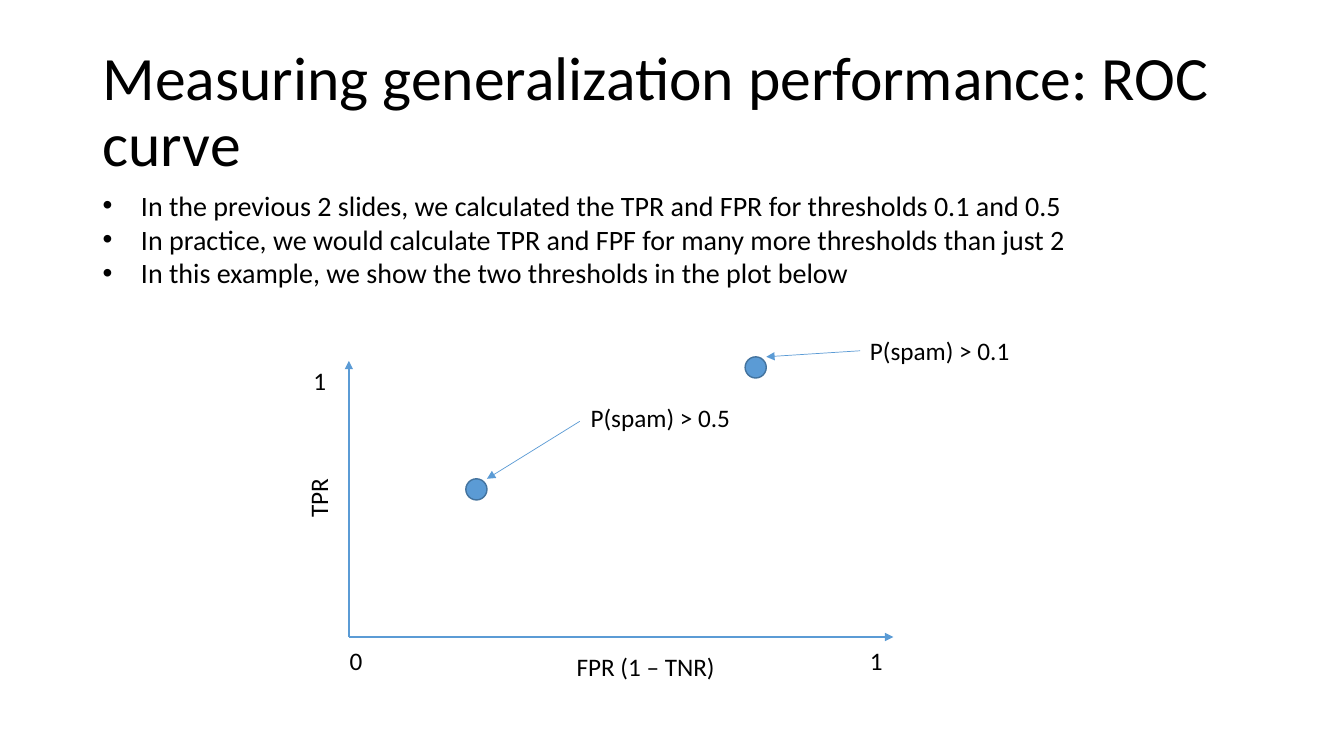
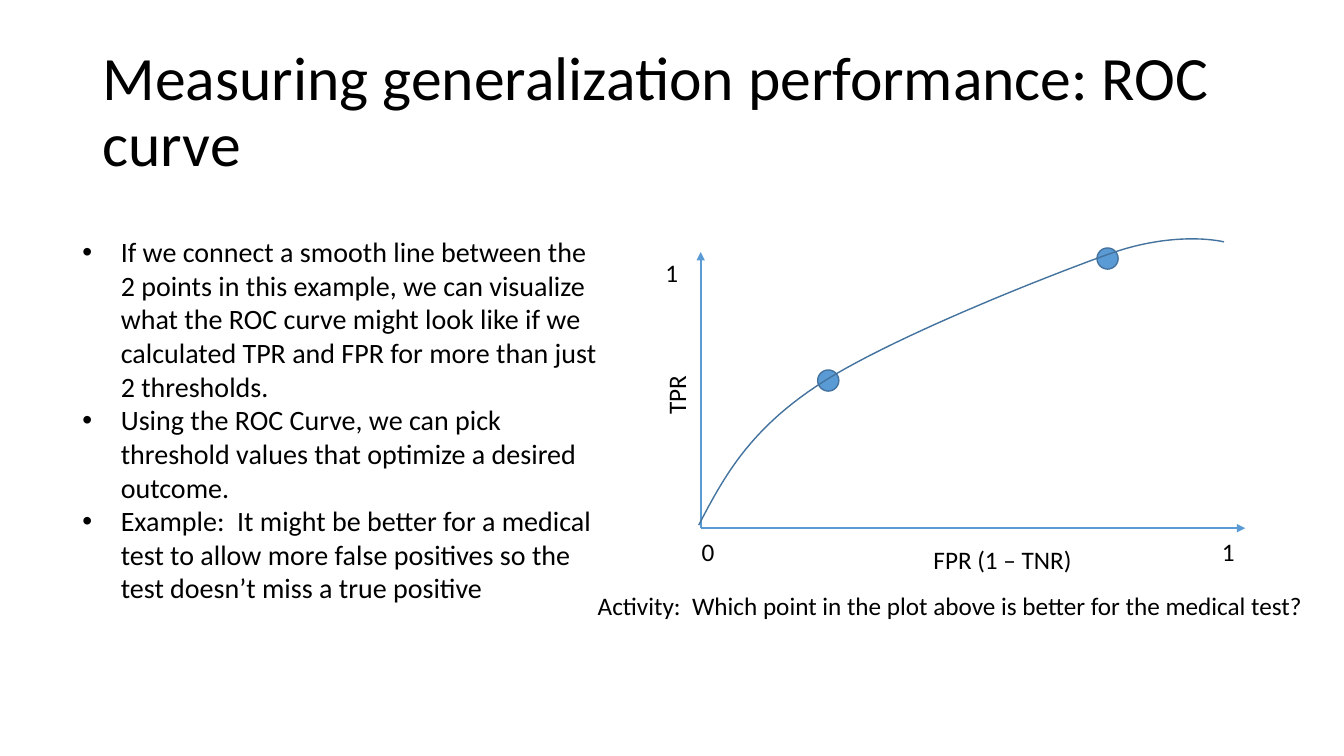
from lxml import etree
from pptx import Presentation
from pptx.dml.color import RGBColor
from pptx.enum import shapes, text
from pptx.oxml import ns
from pptx.util import Inches, Pt

BLUE, DARK_BLUE, BLACK = "5B9BD5", "43739E", "000000"
FONT = "Calibri"
TITLE = "Measuring generalization performance: ROC curve"
DOT = 0.21
AXIS_WIDTH, AXIS_HEIGHT = 5.4, 2.74
DOT_OFFSETS = [(1.16, -1.57), (3.93, -2.78)]
TICKS = [("0", -0.09, 0.03, 0.33), ("1", 5.07, 0.03, 0.65), ("1", -0.45, -2.74, 0.33)]


def add_text(slide, paragraphs, left, top, width, height=0.4, size=18, wrap=False,
             bullets=False, spacing=None, anchor=text.MSO_ANCHOR.TOP, grow=True, rotation=0):
    box = slide.shapes.add_textbox(Inches(left), Inches(top), Inches(width), Inches(height))
    box.rotation = rotation
    frame = box.text_frame
    frame.word_wrap = wrap
    frame.vertical_anchor = anchor
    frame.auto_size = text.MSO_AUTO_SIZE.SHAPE_TO_FIT_TEXT if grow else text.MSO_AUTO_SIZE.NONE
    frame.text = "\n".join(paragraphs)
    for paragraph in frame.paragraphs:
        paragraph.line_spacing = spacing
        font = paragraph.runs[0].font
        font.name, font.size = FONT, Pt(size)
        font.color.rgb = RGBColor.from_string(BLACK)
        if bullets:
            props = paragraph._p.get_or_add_pPr()
            props.set("marL", str(Inches(0.38)))
            props.set("indent", str(Inches(-0.38)))
            etree.SubElement(props, ns.qn("a:buFont")).set("typeface", "Arial")
            etree.SubElement(props, ns.qn("a:buChar")).set("char", "•")


def add_arrow(slide, start, end, width):
    arrow = slide.shapes.add_connector(shapes.MSO_CONNECTOR.STRAIGHT,
                                       *(Inches(value) for value in (*start, *end)))
    arrow.line.color.rgb = RGBColor.from_string(BLUE)
    arrow.line.width = Pt(width)
    etree.SubElement(arrow.line._get_or_add_ln(), ns.qn("a:tailEnd")).set("type", "triangle")
    etree.SubElement(arrow._element.spPr, ns.qn("a:effectLst"))


prs = Presentation()
prs.slide_width, prs.slide_height = Inches(13.33), Inches(7.5)

# Bullets with their box, plot origin, and places of the axis names
pages = [
    (["In the previous 2 slides, we calculated the TPR and FPR for thresholds 0.1 and 0.5",
      "In practice, we would calculate TPR and FPF for many more thresholds than just 2",
      "In this example, we show the two thresholds in the plot below"],
     (0.92, 1.82, 9.79, 1.11), False, (3.46, 6.32), (5.62, 6.41), (2.86, 4.74)),
    (["If we connect a smooth line between the 2 points in this example, we can visualize "
      "what the ROC curve might look like if we calculated TPR and FPR for more than just "
      "2 thresholds.",
      "Using the ROC Curve, we can pick threshold values that optimize a desired outcome.",
      "Example:  It might be better for a medical test to allow more false positives so the "
      "test doesn’t miss a true positive"],
     (0.72, 2.28, 5.3, 3.8), True, (6.95, 5.24), (9.16, 5.35), (6.41, 3.72)),
]

slides = []
for points, points_box, points_wrap, (x0, y0), fpr_at, tpr_at in pages:
    slide = prs.slides.add_slide(prs.slide_layouts[6])
    slides.append(slide)
    add_text(slide, [TITLE], 0.92, 0.4, 11.5, 1.45, size=44, wrap=True, spacing=0.9,
             anchor=text.MSO_ANCHOR.MIDDLE, grow=False)
    add_text(slide, points, *points_box, size=20, wrap=points_wrap, bullets=True)

    add_arrow(slide, (x0, y0), (x0 + AXIS_WIDTH, y0), 1.5)
    add_arrow(slide, (x0, y0), (x0, y0 - AXIS_HEIGHT), 1.5)
    add_text(slide, ["FPR (1 – TNR)"], *fpr_at, 1.59)
    add_text(slide, ["TPR"], *tpr_at, 0.59, rotation=270)
    for tick, dx, dy, width in TICKS:
        add_text(slide, [tick], x0 + dx, y0 + dy, width, wrap=width > 0.5)
    for dx, dy in DOT_OFFSETS:
        dot = slide.shapes.add_shape(shapes.MSO_SHAPE.OVAL, Inches(x0 + dx), Inches(y0 + dy),
                                     Inches(DOT), Inches(DOT))
        dot.shadow.inherit = False
        dot.fill.solid()
        dot.fill.fore_color.rgb = RGBColor.from_string(BLUE)
        dot.line.color.rgb = RGBColor.from_string(DARK_BLUE)
        dot.line.width = Pt(1)

threshold_slide, curve_slide = slides

# Threshold labels pointing at the dots
for threshold, label_at, start, end in [
    ("P(spam) > 0.5", (5.76, 3.94), (5.75, 4.18), (4.83, 4.75)),
    ("P(spam) > 0.1", (8.53, 3.28), (8.53, 3.48), (7.6, 3.54)),
]:
    add_arrow(threshold_slide, start, end, 0.5)
    add_text(threshold_slide, [threshold], *label_at, 1.6)

# ROC curve, sampled from three cubic Bézier segments
STEPS = 24
knots = [(6.93, 5.21), (7.17, 4.75), (7.42, 4.28), (8.1, 3.83), (8.77, 3.38),
         (10.33, 2.76), (11, 2.52), (11.67, 2.28), (12.14, 2.4), (12.14, 2.4)]
curve_points = []
for first in range(0, len(knots) - 1, 3):
    for step in range(1, STEPS + 1):
        t = step / STEPS
        weights = ((1 - t) ** 3, 3 * t * (1 - t) ** 2, 3 * t ** 2 * (1 - t), t ** 3)
        curve_points.append(tuple(
            Inches(sum(weight * knot[axis] for weight, knot in zip(weights, knots[first:first + 4])))
            for axis in (0, 1)))
builder = curve_slide.shapes.build_freeform(*(Inches(value) for value in knots[0]))
builder.add_line_segments(curve_points, close=False)
roc_curve = builder.convert_to_shape()
roc_curve.shadow.inherit = False
roc_curve.fill.background()
roc_curve.line.color.rgb = RGBColor.from_string(DARK_BLUE)
roc_curve.line.width = Pt(1)

add_text(curve_slide, ["Activity:  Which point in the plot above is better for the medical test?"],
         5.83, 5.81, 7.41, wrap=True)

prs.save("out.pptx")
